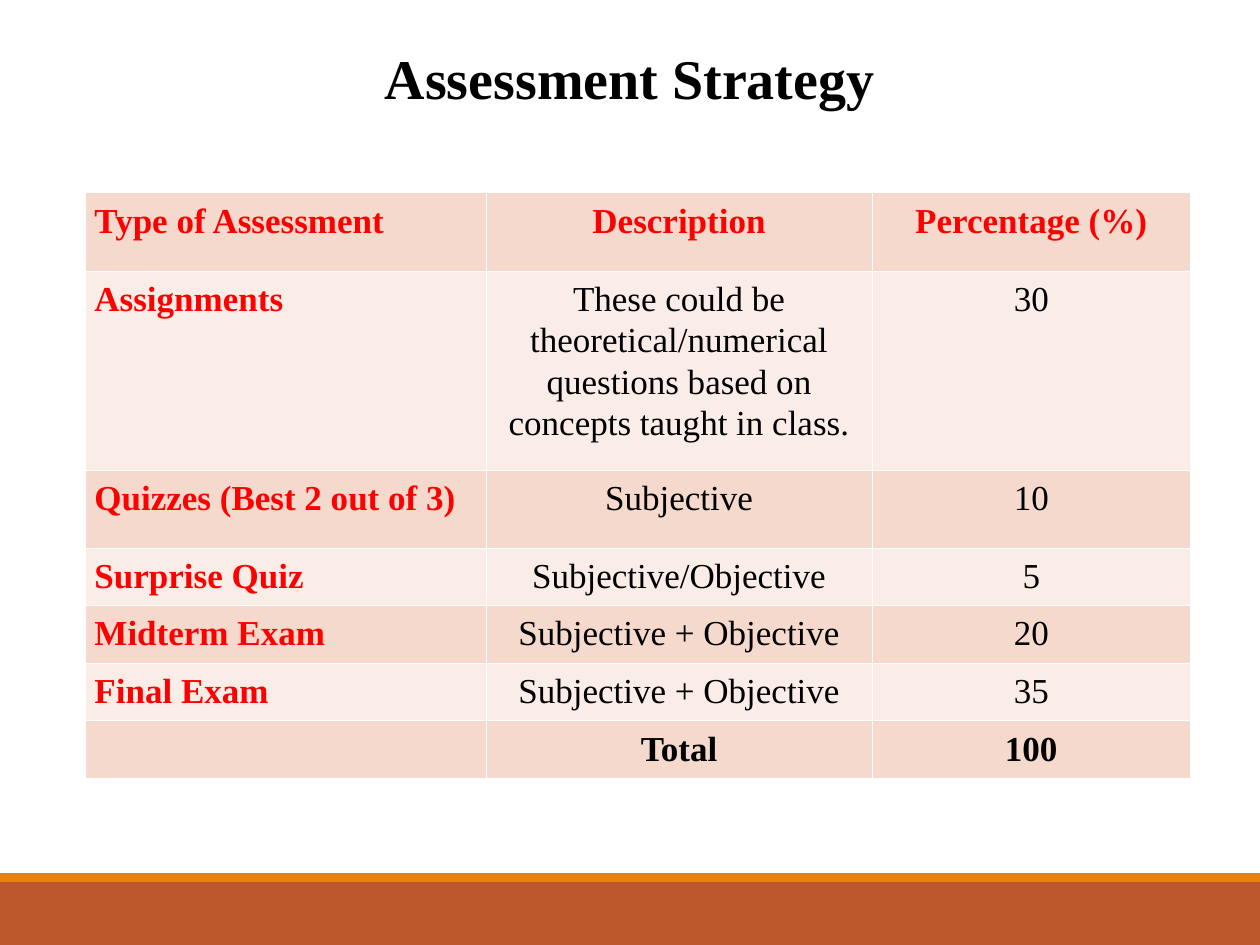
from lxml import etree
from pptx import Presentation
from pptx import util as u
from pptx.dml.color import RGBColor
from pptx.enum import shapes, text
from pptx.oxml import ns

WIDTH, HEIGHT = 10, 7.5
FONT = "Times New Roman"
BLACK, RED, WHITE = "000000", "FF0000", "FFFFFF"
BANDS = ("F5D9CC", "FAEDE7")
COLUMN_WIDTHS = (3.18, 3.06, 2.53)
ROW_HEIGHTS = (0.62, 1.58, 0.62, 0.33, 0.33, 0.33, 0.33)
ASSESSMENTS = (
    ("Type of Assessment", "Description", "Percentage (%)"),
    ("Assignments", "These could be theoretical/numerical questions "
     "based on concepts taught in class.", "30"),
    ("Quizzes (Best 2 out of 3)", "Subjective", "10"),
    ("Surprise Quiz", "Subjective/Objective", "5"),
    ("Midterm Exam", "Subjective + Objective", "20"),
    ("Final Exam", "Subjective + Objective", "35"),
    ("", "Total", "100"),
)


def color(value):
    return RGBColor.from_string(value)


def place(left, top, width, height):
    return [u.Inches(length) for length in (left, top, width, height)]


def write(para, words, size, ink, bold, align):
    para.text = words
    para.alignment = align
    para.font.name = FONT
    para.font.size = u.Pt(size)
    para.font.bold = bold
    para.font.color.rgb = color(ink)


def add_band(page, top, height, fill):
    band = page.shapes.add_shape(shapes.MSO_SHAPE.RECTANGLE,
                                 *place(0, top, WIDTH, height))
    band.shadow.inherit = False
    band.fill.solid()
    band.fill.fore_color.rgb = color(fill)
    band.line.fill.background()


def add_title(page, words):
    box = page.shapes.add_textbox(*place(0, 0.3, WIDTH, 0.63))
    box.text_frame.word_wrap = True
    box.text_frame.vertical_anchor = text.MSO_ANCHOR.BOTTOM
    para = box.text_frame.paragraphs[0]
    write(para, words, 32, BLACK, True, text.PP_ALIGN.CENTER)
    para.line_spacing = 0.85


def add_borders(cell, ink, width):
    """Draw all four cell edges; call before the cell is filled."""
    properties = cell._tc.get_or_add_tcPr()
    for edge in ("a:lnL", "a:lnR", "a:lnT", "a:lnB"):
        line = etree.SubElement(properties, ns.qn(edge), w=str(u.Pt(width)))
        fill = etree.SubElement(line, ns.qn("a:solidFill"))
        etree.SubElement(fill, ns.qn("a:srgbClr"), val=ink)


def fill_cell(cell, words, row, column):
    cell.margin_left = cell.margin_right = u.Inches(0.07)
    cell.margin_top = cell.margin_bottom = u.Inches(0.05)
    add_borders(cell, WHITE, 0.45)
    cell.fill.solid()
    cell.fill.fore_color.rgb = color(BANDS[row % 2])
    heading = row == 0 or column == 0
    total = row == len(ASSESSMENTS) - 1
    align = text.PP_ALIGN.CENTER if column else text.PP_ALIGN.LEFT
    para = cell.text_frame.paragraphs[0]
    write(para, words, 20, RED if heading else BLACK, heading or total, align)
    para.line_spacing = 1.07
    para.space_after = u.Pt(8)


def add_assessment_table(page):
    frame = page.shapes.add_table(
        len(ROW_HEIGHTS), len(COLUMN_WIDTHS),
        *place(0.68, 1.53, sum(COLUMN_WIDTHS), sum(ROW_HEIGHTS)))
    table = frame.table
    table.first_row = table.horz_banding = False
    for column, width in zip(table.columns, COLUMN_WIDTHS):
        column.width = u.Inches(width)
    for row, height in zip(table.rows, ROW_HEIGHTS):
        row.height = u.Inches(height)
    for row, entries in enumerate(ASSESSMENTS):
        for column, words in enumerate(entries):
            fill_cell(table.cell(row, column), words, row, column)


def main():
    deck = Presentation()
    deck.slide_width, deck.slide_height = u.Inches(WIDTH), u.Inches(HEIGHT)
    page = deck.slides.add_slide(deck.slide_layouts[6])
    add_band(page, 7, 0.5, "BD582C")
    add_band(page, 6.93, 0.07, "E48312")
    add_title(page, "Assessment Strategy")
    add_assessment_table(page)
    deck.save("out.pptx")


if __name__ == "__main__":
    main()
